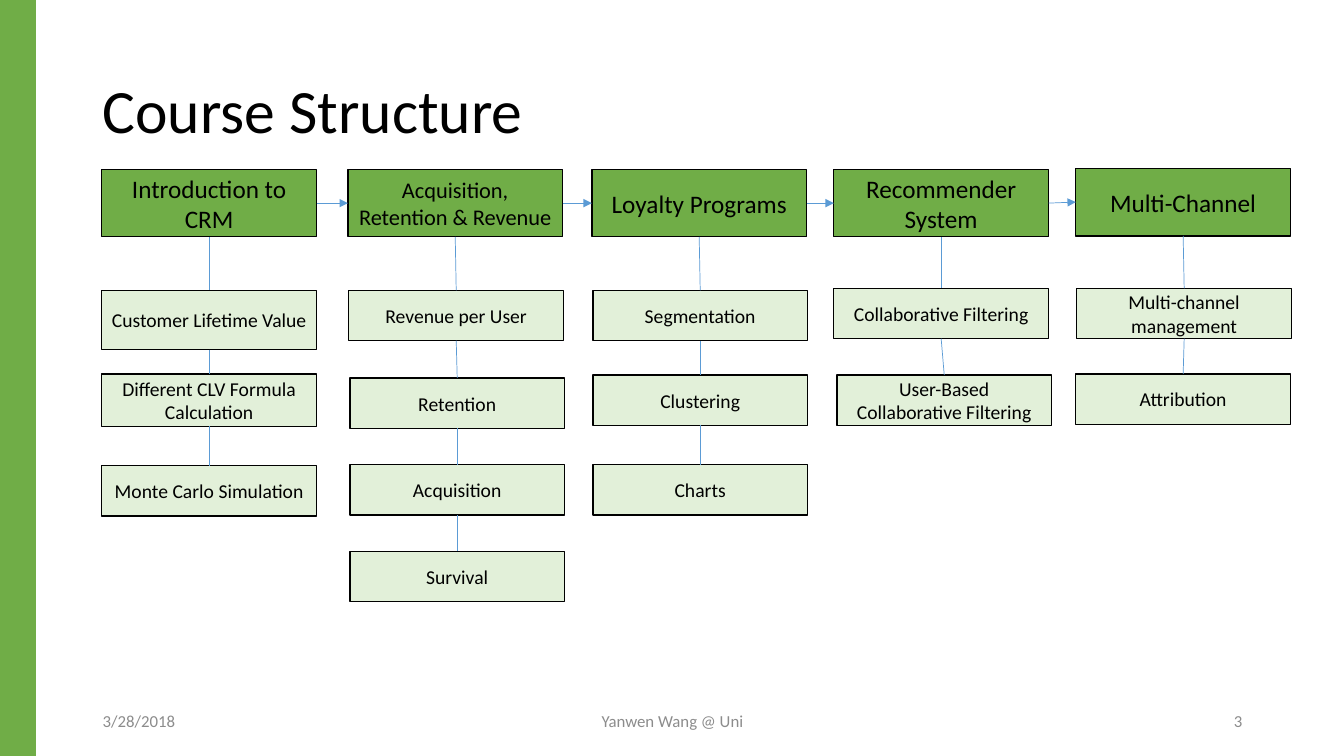
from itertools import pairwise

from lxml.etree import SubElement
from pptx import Presentation
from pptx.dml.color import RGBColor as Rgb
from pptx.enum.shapes import MSO_CONNECTOR as Link, MSO_SHAPE as Shape
from pptx.enum.text import MSO_ANCHOR as Anchor, PP_ALIGN as Align
from pptx.oxml.ns import qn
from pptx.util import Emu, Pt

PX = 9144
FONT = "Calibri"
COLORS = {
    "green": "70AD47",
    "pale": "E2F0D9",
    "black": "000000",
    "gray": "8C8C8C",
    "blue": "5B9BD5",
}
TOP, BOTTOM, LEFT, RIGHT = 0, 2, 1, 3
WIDE, HEAD, ITEM = 213, 67, 50
TOPICS = [
    (101, 168, "Introduction to CRM", 18, [
        (0, 120, 59, "Customer Lifetime Value"),
        (0, 203, 52, "Different CLV Formula Calculation"),
        (0, 294, ITEM, "Monte Carlo Simulation"),
    ]),
    (345, 168, "Acquisition, Retention & Revenue", 16, [
        (1, 120, ITEM, "Revenue per User"),
        (2, 207, ITEM, "Retention"),
        (2, 293, ITEM, "Acquisition"),
        (2, 379, ITEM, "Survival"),
    ]),
    (587, 168, "Loyalty Programs", 18, [
        (1, 120, ITEM, "Segmentation"),
        (1, 204, ITEM, "Clustering"),
        (1, 293, ITEM, "Charts"),
    ]),
    (827, 168, "Recommender System", 18, [
        (0, 118, ITEM, "Collaborative Filtering"),
        (3, 204, ITEM, "User-Based Collaborative Filtering"),
    ]),
    (1067, 167, "Multi-Channel", 18, [
        (1, 119, ITEM, "Multi-channel management"),
        (0, 204, ITEM, "Attribution"),
    ]),
]


def color(name):
    return Rgb.from_string(COLORS[name])


def scale(*box):
    return [Emu(n * PX) for n in box]


def write(shape, text, size, tone="black", align=Align.CENTER):
    frame = shape.text_frame
    frame.word_wrap = True
    frame.vertical_anchor = Anchor.MIDDLE
    para = frame.paragraphs[0]
    para.alignment = align
    run = para.add_run()
    run.text = text
    run.font.name = FONT
    run.font.size = Pt(size)
    run.font.color.rgb = color(tone)
    return para


def label(slide, box, *style):
    return write(slide.shapes.add_textbox(*scale(*box)), *style)


def block(slide, box, fill, edge):
    rect = slide.shapes.add_shape(Shape.RECTANGLE, *scale(*box))
    rect.shadow.inherit = False
    rect.fill.solid()
    rect.fill.fore_color.rgb = color(fill)
    rect.line.color.rgb = color(edge)
    rect.line.width = Pt(1)
    return rect


def join(slide, start, exit, end, entry, arrow=False):
    link = slide.shapes.add_connector(Link.STRAIGHT, 0, 0, 0, 0)
    link.begin_connect(start, exit)
    link.end_connect(end, entry)
    link.line.color.rgb = color("blue")
    link.line.width = Pt(0.5)
    props = link._element.spPr
    if arrow:
        SubElement(props.find(qn("a:ln")), qn("a:tailEnd"), type="triangle")
    SubElement(props, qn("a:effectLst"))


def column(slide, left, top, title, size, items):
    head = block(slide, (left, top, WIDE, HEAD), "green", "black")
    write(head, title, size)
    chain = [head]
    for shift, drop, high, text in items:
        item = block(slide, (left + shift, top + drop, WIDE, high), "pale", "black")
        write(item, text, 14)
        chain.append(item)
    for upper, lower in pairwise(chain):
        join(slide, upper, BOTTOM, lower, TOP)
    return head


def chart(slide, topics):
    heads = [column(slide, *topic) for topic in topics]
    for first, second in pairwise(heads):
        join(slide, first, RIGHT, second, LEFT, arrow=True)


def footer(slide, left, top, high):
    for shift, wide, text, align in [
        (0, 300, "3/28/2018", Align.LEFT),
        (350, 450, "Yanwen Wang @ Uni", Align.CENTER),
        (850, 300, "3", Align.RIGHT),
    ]:
        label(slide, (left + shift, top, wide, high), text, 12, "gray", align)


def main():
    deck = Presentation()
    deck.slide_width, deck.slide_height = scale(1333, 750)
    slide = deck.slides.add_slide(deck.slide_layouts[6])
    block(slide, (0, 0, 35, 750), "green", "green")
    title = label(slide, (92, 40, 1150, 145), "Course Structure", 44, "black", Align.LEFT)
    title.line_spacing = 0.9
    chart(slide, TOPICS)
    footer(slide, 92, 695, 40)
    deck.save("out.pptx")


if __name__ == "__main__":
    main()
